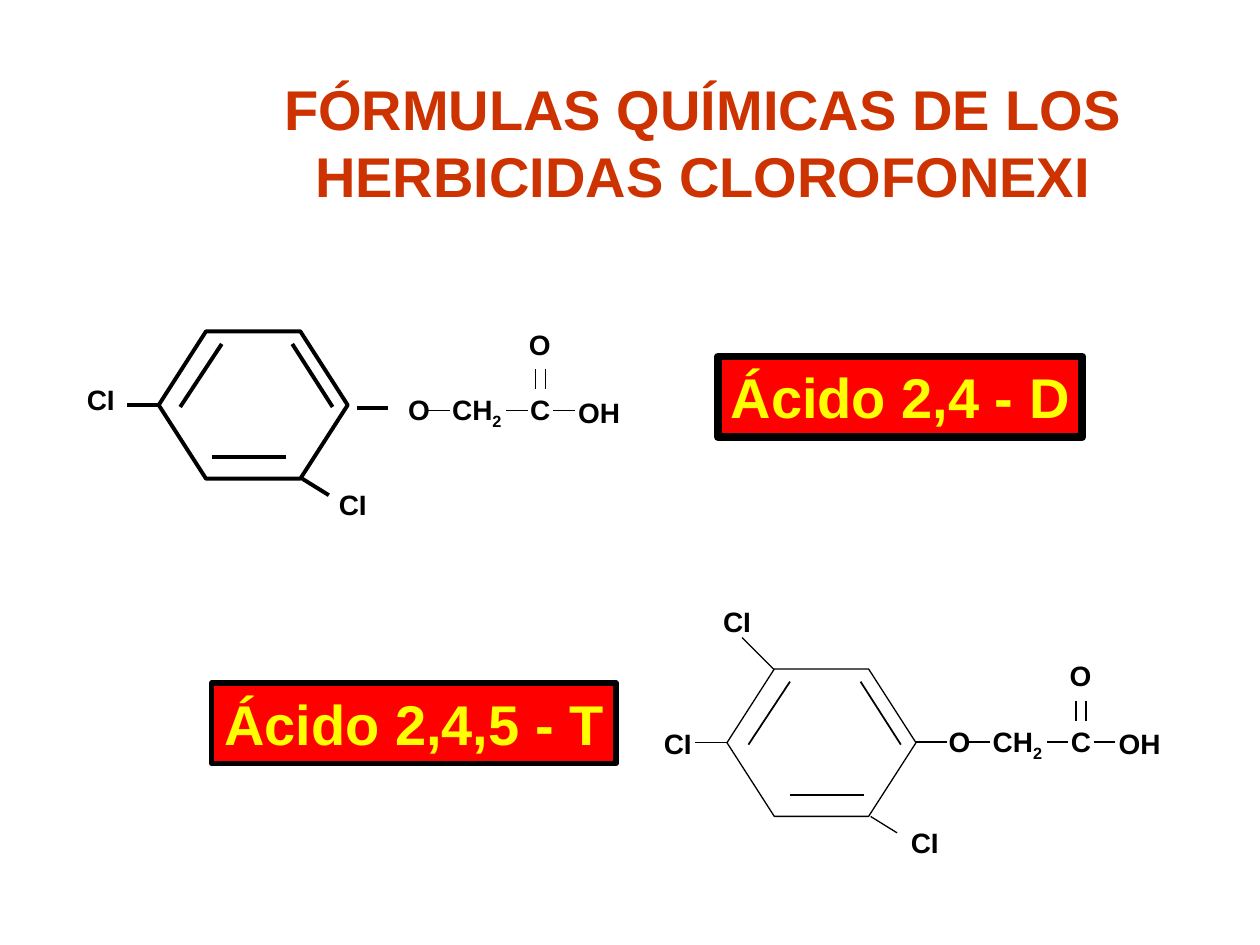
from dataclasses import dataclass

import pptx
import pptx.dml.color
import pptx.enum.shapes
import pptx.enum.text
import pptx.oxml.ns
import pptx.util
from lxml import etree

Inches = pptx.util.Inches
Pt = pptx.util.Pt
RGB = pptx.dml.color.RGBColor
Shape = pptx.enum.shapes.MSO_SHAPE
Anchor = pptx.enum.text.MSO_ANCHOR
Align = pptx.enum.text.PP_ALIGN


@dataclass(frozen=True)
class Theme:
    font: str = "Arial"
    ink: RGB = RGB(0x00, 0x00, 0x00)
    paper: RGB = RGB(0xFF, 0xFF, 0xFF)
    heading: RGB = RGB(0xCC, 0x33, 0x00)
    name_fill: RGB = RGB(0xFF, 0x00, 0x00)
    name_text: RGB = RGB(0xFF, 0xFF, 0x00)
    heading_size: int = 32
    atom_size: int = 16
    thin: float = 0.75
    medium: float = 1
    thick: float = 2.25


THEME = Theme()
ATOM_HEIGHT = 0.37


def set_all(target, values):
    for attribute, value in values.items():
        setattr(target, attribute, value)


def inches(*lengths):
    return [Inches(length) for length in lengths]


def write(shape, text, size, color, subscript="", align=Align.LEFT,
          anchor=Anchor.TOP, wrap=False):
    frame = shape.text_frame
    set_all(frame, {
        "word_wrap": wrap,
        "vertical_anchor": anchor,
        "margin_left": Inches(0.1),
        "margin_right": Inches(0.1),
        "margin_top": Inches(0.05),
        "margin_bottom": Inches(0.05),
    })
    paragraph = frame.paragraphs[0]
    paragraph.text = text
    paragraph.alignment = align
    if subscript:
        run = paragraph.add_run()
        run.text = subscript
        run.font._element.set("baseline", "-25000")
    for run in paragraph.runs:
        set_all(run.font, {"name": THEME.font, "size": Pt(size), "bold": True})
        run.font.color.rgb = color


def add_atom(shapes, symbol, left, top, width, subscript=""):
    atom = shapes.add_textbox(*inches(left, top, width, ATOM_HEIGHT))
    write(atom, symbol, THEME.atom_size, THEME.ink, subscript)


def add_bond(shapes, start, end, weight):
    bond = shapes.add_connector(
        pptx.enum.shapes.MSO_CONNECTOR.STRAIGHT, *inches(*start, *end))
    bond.line.width = Pt(weight)
    bond.line.color.rgb = THEME.ink
    etree.SubElement(bond._element.spPr, pptx.oxml.ns.qn("a:effectLst"))


def add_title(shapes, box):
    title = shapes.add_textbox(*inches(*box))
    write(title, "FÓRMULAS QUÍMICAS DE LOS\vHERBICIDAS CLOROFONEXI",
          THEME.heading_size, THEME.heading, align=Align.CENTER,
          anchor=Anchor.MIDDLE, wrap=True)


def add_name(shapes, box, name, border):
    plate = shapes.add_shape(Shape.RECTANGLE, *inches(*box))
    plate.shadow.inherit = False
    plate.fill.solid()
    plate.fill.fore_color.rgb = THEME.name_fill
    plate.line.color.rgb = THEME.ink
    plate.line.width = Pt(border)
    write(plate, name, THEME.heading_size, THEME.name_text)


def add_ring(shapes, box, weight, side_weight, floor_left, link_start):
    left, top, width, height = box
    group = shapes.add_group_shape().shapes
    ring = group.add_shape(Shape.HEXAGON, *inches(*box))
    ring.adjustments[0] = 0.321
    ring.shadow.inherit = False
    ring.fill.solid()
    ring.fill.fore_color.rgb = THEME.paper
    ring.line.color.rgb = THEME.ink
    ring.line.width = Pt(weight)

    link_x, link_y = link_start
    bonds = [
        ((0.17, 0.6), (0.5, 0.1), side_weight),
        ((1.06, 0.1), (1.38, 0.6), side_weight),
        ((floor_left, 1), (floor_left + 0.59, 1), weight),
        ((-0.25, height / 2), (0, height / 2), weight),
        ((width - 0.36, height), (width - 0.15, height + 0.13), weight),
        ((link_x, link_y), (link_x + 0.25, link_y), weight),
    ]
    for (x1, y1), (x2, y2), bond_weight in bonds:
        add_bond(group, (left + x1, top + y1), (left + x2, top + y2), bond_weight)


def add_acid_chain(shapes, box):
    left, top, width, height = box
    group = shapes.add_group_shape().shapes
    row = height - 0.39
    axis = row + 0.19
    atoms = [
        ("O", 0, row, 0.37, ""),
        ("CH", 0.35, row, 0.59, "2"),
        ("C", 0.97, row, 0.36, ""),
        ("OH", width - 0.53, row + 0.02, 0.53, ""),
        ("O", 0.96, 0, 0.37, ""),
    ]
    for symbol, x, y, atom_width, subscript in atoms:
        add_atom(group, symbol, left + x, top + y, atom_width, subscript)
    for x in (0.26, 0.88, 1.25):
        add_bond(group, (left + x, top + axis), (left + x + 0.17, top + axis),
                 THEME.thin)
    for x in (1.11, 1.19):
        add_bond(group, (left + x, top + 0.38), (left + x, top + 0.54), THEME.thin)


def add_chlorines(shapes, box, positions):
    left, top = box[:2]
    for x, y in positions:
        add_atom(shapes, "CI", left + x, top + y, 0.42)


def add_24d(shapes, box):
    left, top = box[:2]
    ring_box = (left, top, 1.5, 1.17)
    add_ring(shapes, ring_box, THEME.thick, THEME.thick, 0.42, (1.57, 0.61))
    add_chlorines(shapes, ring_box, [(-0.67, 0.36), (1.33, 1.19)])
    add_acid_chain(shapes, (left + 1.88, top - 0.08, 1.88, 0.91))


def add_245t(shapes, box):
    left, top = box[:2]
    ring_box = (left, top, 1.5, 1.17)
    add_ring(shapes, ring_box, THEME.thin, THEME.medium, 0.5, (1.5, 0.58))
    add_bond(shapes, (left + 0.12, top - 0.25), (left + 0.37, top), THEME.thin)
    add_chlorines(shapes, ring_box, [(-0.6, 0.41), (-0.13, -0.56), (1.36, 1.19)])
    add_acid_chain(shapes, (left + 1.66, top - 0.13, 1.88, 0.91))


def main():
    deck = pptx.Presentation()
    set_all(deck, {"slide_width": Inches(10), "slide_height": Inches(7.5)})
    shapes = deck.slides.add_slide(deck.slide_layouts[6]).shapes
    add_title(shapes, (1.33, 0.5, 8.5, 1.25))
    add_24d(shapes, (1.26, 2.63, 3.76, 1.56))
    add_name(shapes, (5.7, 2.83, 2.89, 0.64), "Ácido 2,4 - D", 4.5)
    add_245t(shapes, (5.77, 5.31, 3.54, 1.56))
    add_name(shapes, (1.68, 5.42, 3.21, 0.64), "Ácido 2,4,5 - T", 3)
    deck.save("out.pptx")


if __name__ == "__main__":
    main()
